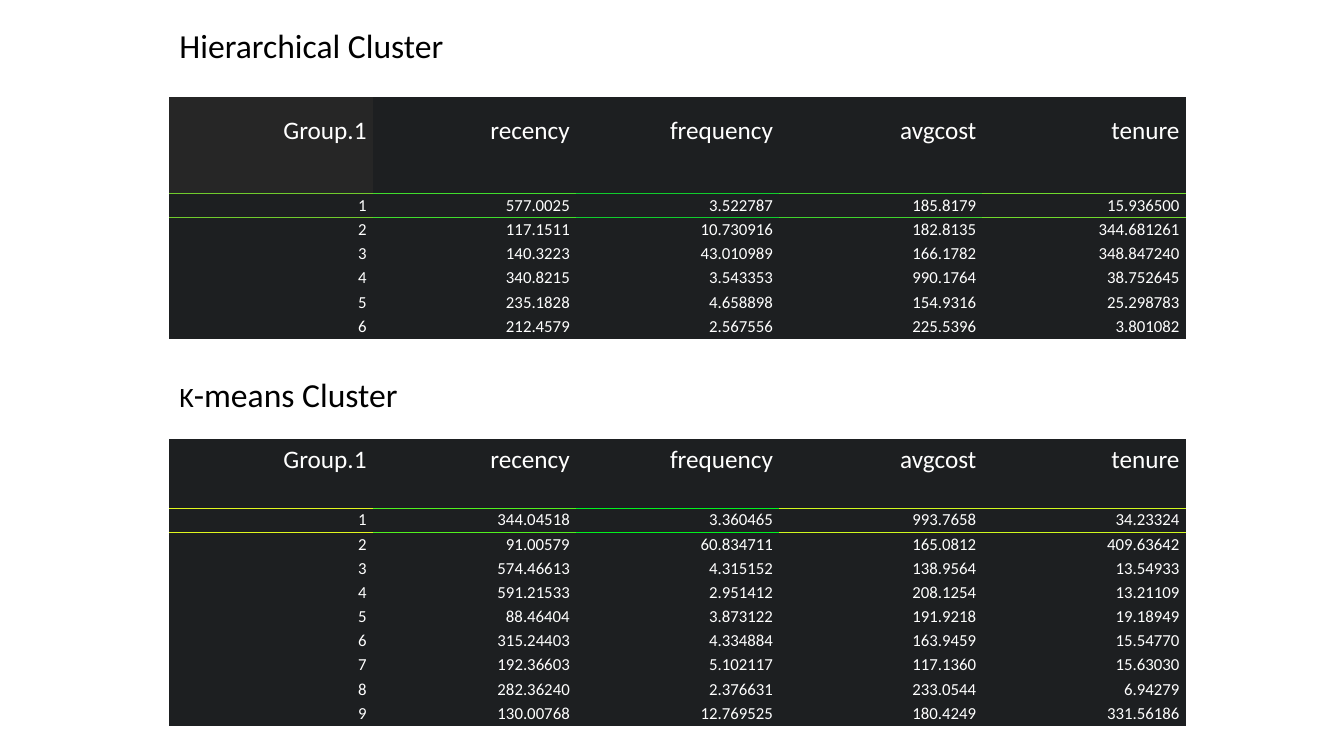
from lxml.etree import SubElement
from pptx import Presentation
from pptx.dml.color import RGBColor
from pptx.enum.text import MSO_ANCHOR, MSO_AUTO_SIZE, PP_ALIGN
from pptx.oxml import parse_xml
from pptx.oxml.ns import nsdecls, qn
from pptx.util import Inches, Pt

BLACK = RGBColor(0x00, 0x00, 0x00)
WHITE = RGBColor(0xFF, 0xFF, 0xFF)
CELL_FILL = RGBColor(0x1D, 0x1F, 0x21)
CORNER_FILL = RGBColor(0x26, 0x26, 0x26)
FONT = "Calibri"
PLAIN_TABLE_STYLE = "{2D5ABB26-0587-4C30-8999-92F81FD0307C}"

HEADERS = ["Group.1", "recency", "frequency", "avgcost", "tenure"]
HIERARCHICAL_ROWS = [
    ("1", "577.0025", "3.522787", "185.8179", "15.936500"),
    ("2", "117.1511", "10.730916", "182.8135", "344.681261"),
    ("3", "140.3223", "43.010989", "166.1782", "348.847240"),
    ("4", "340.8215", "3.543353", "990.1764", "38.752645"),
    ("5", "235.1828", "4.658898", "154.9316", "25.298783"),
    ("6", "212.4579", "2.567556", "225.5396", "3.801082"),
]
KMEANS_ROWS = [
    ("1", "344.04518", "3.360465", "993.7658", "34.23324"),
    ("2", "91.00579", "60.834711", "165.0812", "409.63642"),
    ("3", "574.46613", "4.315152", "138.9564", "13.54933"),
    ("4", "591.21533", "2.951412", "208.1254", "13.21109"),
    ("5", "88.46404", "3.873122", "191.9218", "19.18949"),
    ("6", "315.24403", "4.334884", "163.9459", "15.54770"),
    ("7", "192.36603", "5.102117", "117.1360", "15.63030"),
    ("8", "282.36240", "2.376631", "233.0544", "6.94279"),
    ("9", "130.00768", "12.769525", "180.4249", "331.56186"),
]
HIERARCHICAL_RULES = ["70CB2D", "40DD2D", "10CC2D", "40D32D", "70DA2D"]
KMEANS_RULES = ["E0F71E", "50F11E", "00F11E", "D0F81E", "D0F81E"]

LEFT = 1.68
TABLE_WIDTH = 10.08
ROW_HEIGHT = 0.24


def add_rule(cell, side, color):
    """Draw a thin coloured border on one side of a cell."""
    line = parse_xml(f'<a:{side} {nsdecls("a")} w="9525"/>')
    fill = SubElement(line, qn("a:solidFill"))
    SubElement(fill, qn("a:srgbClr"), val=color)
    cell._tc.get_or_add_tcPr().insert(0, line)


def format_cell(cell, text, size, top, bottom, fill):
    """Write right-aligned white text in a filled cell."""
    cell.text = text
    cell.vertical_anchor = MSO_ANCHOR.MIDDLE
    cell.margin_left = cell.margin_right = Inches(0.06)
    cell.margin_top, cell.margin_bottom = Inches(top), Inches(bottom)
    cell.fill.solid()
    cell.fill.fore_color.rgb = fill
    paragraph = cell.text_frame.paragraphs[0]
    paragraph.alignment = PP_ALIGN.RIGHT
    paragraph.font.size = Pt(size)
    paragraph.font.name = FONT
    paragraph.font.color.rgb = WHITE


def add_cluster_table(slide, top, header_height, rows, rules, corner_fill):
    """Add one table of cluster means."""
    height = header_height + ROW_HEIGHT * len(rows)
    table = slide.shapes.add_table(
        len(rows) + 1, len(HEADERS), Inches(LEFT), Inches(top),
        Inches(TABLE_WIDTH), Inches(height)).table
    table.horz_banding = False
    table._tbl.tblPr.find(qn("a:tableStyleId")).text = PLAIN_TABLE_STYLE
    for index, row in enumerate(table.rows):
        row.height = Inches(ROW_HEIGHT if index else header_height)
    for column, header in enumerate(HEADERS):
        fill = CELL_FILL if column else corner_fill
        format_cell(table.cell(0, column), header, 18, 0.05, 0.33, fill)
        for index, values in enumerate(rows, 1):
            format_cell(table.cell(index, column), values[column], 12, 0.02, 0.02, CELL_FILL)
        add_rule(table.cell(0, column), "lnB", rules[column])
        add_rule(table.cell(1, column), "lnT", rules[column])


def format_heading(shape, top, width, runs):
    """Place a heading and fill it with sized runs."""
    shape.left, shape.top = Inches(LEFT), Inches(top)
    shape.width, shape.height = Inches(width), Inches(0.5)
    frame = shape.text_frame
    frame.word_wrap = True
    frame.auto_size = MSO_AUTO_SIZE.SHAPE_TO_FIT_TEXT
    frame.vertical_anchor = MSO_ANCHOR.TOP
    paragraph = frame.paragraphs[0]
    paragraph.alignment = PP_ALIGN.LEFT
    paragraph.font.name = FONT
    paragraph.font.color.rgb = BLACK
    for text, size in runs:
        run = paragraph.add_run()
        run.text = text
        run.font.size = Pt(size)


def main():
    """Build the cluster comparison slide."""
    presentation = Presentation()
    presentation.slide_width, presentation.slide_height = Inches(13.33), Inches(7.5)
    slide = presentation.slides.add_slide(presentation.slide_layouts[5])
    add_cluster_table(slide, 0.96, 0.96, HIERARCHICAL_ROWS, HIERARCHICAL_RULES, CORNER_FILL)
    add_cluster_table(slide, 4.36, 0.68, KMEANS_ROWS, KMEANS_RULES, CELL_FILL)
    format_heading(slide.shapes.title, 0.2, 3.14, [("Hierarchical Cluster", 24)])
    kmeans_heading = slide.shapes.add_textbox(0, 0, 0, 0)
    format_heading(kmeans_heading, 3.66, 2.62, [("K", 20), ("-means Cluster", 24)])
    presentation.save("out.pptx")


if __name__ == "__main__":
    main()
